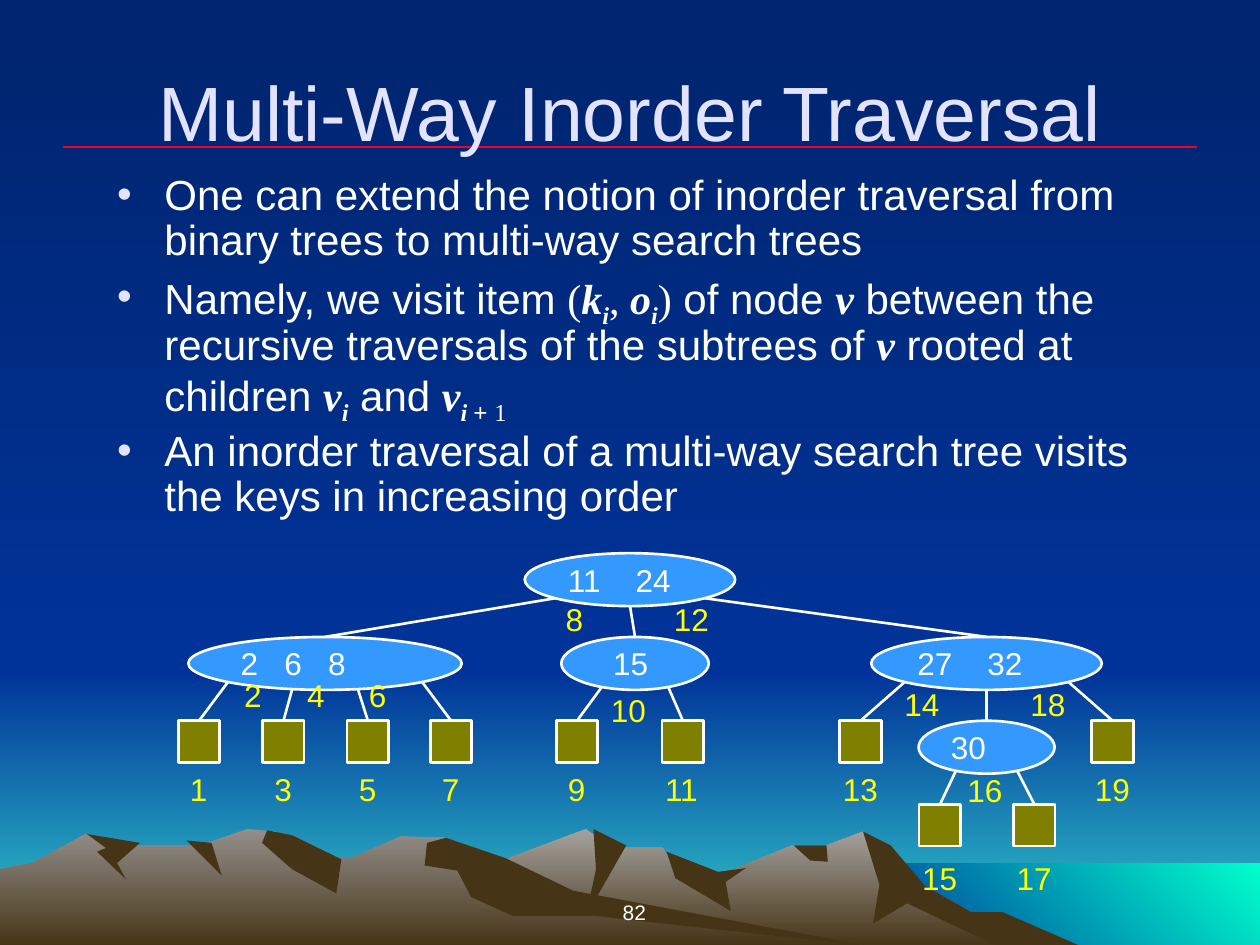
from dataclasses import dataclass
from itertools import count
from math import sqrt

from lxml import etree
from pptx import Presentation
from pptx.dml.color import RGBColor
from pptx.enum.shapes import MSO_CONNECTOR, MSO_SHAPE
from pptx.enum.text import MSO_ANCHOR, MSO_AUTO_SIZE, PP_ALIGN
from pptx.oxml.ns import qn
from pptx.util import Inches, Pt

LINE = MSO_CONNECTOR.STRAIGHT
OVAL, RECT = MSO_SHAPE.OVAL, MSO_SHAPE.RECTANGLE
MIDDLE, BOTTOM = MSO_ANCHOR.MIDDLE, MSO_ANCHOR.BOTTOM
LEFT, CENTER = PP_ALIGN.LEFT, PP_ALIGN.CENTER
NO_FIT = MSO_AUTO_SIZE.NONE


@dataclass(frozen=True)
class Theme:
    sans: str = "Arial"
    serif: str = "Times New Roman"
    white: str = "FFFFFF"
    title: str = "E3E3FF"
    rule: str = "EF0129"
    node: str = "3399FF"
    leaf: str = "808000"
    visit: str = "FFFF00"
    night: str = "00246D"
    blue: str = "003399"
    dusk: str = "33CCCC"
    sea: str = "00FFCC"
    rock: str = "463416"
    far: str = "A5A29F"
    near: str = "938F8B"
    big: int = 44
    text: int = 24
    key: int = 18
    small: int = 12


@dataclass(frozen=True)
class Node:
    keys: tuple       # keys in the oval
    mid: float        # centre of the oval
    width: float
    kids: tuple       # a Node, or the centre of a leaf
    marks: tuple      # centres of the visit numbers, one per key
    hang: float       # from top of oval to visit numbers
    gap: int = 0      # extra points between keys
    pad: float = 0.1  # left margin of the keys


T = Theme()

# Each level of the tree lies one DROP below the last
ROOT_TOP, DROP, TALL, SIDE = 4.39, 0.665, 0.42, 0.33
# Where edges leave an oval, as shares of its half width, by number of children
FANS = {2: (-0.45, 0.45), 3: (-0.71, 0, 0.71), 4: (-0.71, -0.24, 0.24, 0.71)}

LOW = Node(("30",), 7.83, 1.08, (7.46, 8.21), (7.82,), 0.35)
TREE = Node(("11", "24"), 5, 1.67, (
    Node(("2", "6", "8"), 2.58, 2.17, (1.58, 2.25, 2.92, 3.58),
         (2.01, 2.51, 3), 0.26, gap=10),
    Node(("15",), 5.04, 1.17, (4.58, 5.42), (4.99,), 0.38, pad=0.24),
    Node(("27", "32"), 7.83, 1.83, (6.83, LOW, 8.83), (7.32, 8.32), 0.33, gap=15),
), (4.56, 5.49), 0.32, gap=15)

# Mountains: skyline from left to right, then the dark faces
BASE = 7.51
FAR_LINE = [(2.58, BASE), (3.27, 7.09), (3.94, 6.85), (4.65, 6.58), (4.86, 6.73),
            (5.26, 6.73), (5.36, 6.9), (5.66, 6.97), (6.29, 6.71), (6.56, 6.71),
            (6.85, 6.6), (7.23, 6.98), (8.21, BASE)]
FAR_FACES = [
    [(6.85, 6.6), (6.98, 7.02), (6.93, 7.33), (7.2, 7.17), (7.92, BASE), (8.58, BASE),
     (7.96, 7.24), (7.71, 7.24), (7.34, 7.03), (7.07, 6.71)],
    [(4.71, 6.58), (4.73, 6.9), (4.65, 7.27), (4.97, 6.71)],
    [(5.29, 6.76), (5.36, 6.97), (5.8, 7.23), (5.76, 7), (5.92, 6.89), (5.7, 6.92)],
    [(6.3, 6.71), (6.43, 6.83), (6.57, 6.84), (6.56, 6.71)],
]
NEAR_LINE = [(0, BASE), (0, 6.9), (0.26, 6.85), (0.68, 6.62), (0.94, 6.71),
             (1.6, 6.71), (1.96, 6.58), (2.19, 6.6), (2.36, 6.81), (2.79, 6.81),
             (3.18, 6.64), (3.54, 6.65), (4.32, 7.12), (6.9, BASE)]
NEAR_FACES = [
    [(2.12, 6.59), (2.08, 6.69), (2.32, 6.9), (2.67, 7.09), (2.71, 6.82), (2.32, 6.63)],
    [(3.54, 6.65), (3.39, 6.69), (3.37, 6.87), (3.63, 6.91), (3.74, 7.12),
     (4.07, 7.27), (4.72, 7.27), (6.9, BASE), (4.55, 7.07), (4.01, 6.81)],
    [(1.48, 6.67), (1.76, 6.95), (1.68, 6.69)],
    [(0.69, 6.62), (0.84, 6.73), (0.77, 6.76), (1, 6.98), (0.93, 6.85), (1.11, 6.69)],
]

# Run styles: font, bold italic, subscript
STYLES = {"text": (T.sans, False, False), "math": (T.serif, False, False),
          "var": (T.serif, True, False), "sub": (T.serif, True, True),
          "plus": (T.sans, False, True), "one": (T.serif, False, True)}
POINTS = [
    [("One can extend the notion of inorder traversal from binary trees to "
      "multi-way search trees", "text")],
    [("Namely, we visit item ", "text"), ("(", "math"), ("k", "var"), ("i", "sub"),
     (", ", "math"), ("o", "var"), ("i", "sub"), (")", "math"), (" of node ", "text"),
     ("v", "var"), (" between the recursive traversals of the subtrees of ", "text"),
     ("v", "var"), (" rooted at children ", "text"), ("v", "var"), ("i", "sub"),
     (" and ", "text"), ("v", "var"), ("i ", "sub"), ("+ ", "plus"), ("1", "one")],
    [("An inorder traversal of a multi-way search tree visits the keys in "
      "increasing order", "text")],
]


def paint(fill, *colors, angle=270):
    """Fill with one colour, or blend from the first to the second."""
    codes = [RGBColor.from_string(code) for code in colors]
    if len(codes) == 1:
        fill.solid()
        fill.fore_color.rgb = codes[0]
        return
    fill.gradient()
    fill.gradient_angle = angle
    for stop, code in zip(fill.gradient_stops, codes):
        stop.color.rgb = code


def style(para, size, color, align=LEFT):
    font = para.font
    font.name, font.size = T.sans, Pt(size)
    font.color.rgb = RGBColor.from_string(color)
    para.alignment = align


def land(slide, dots, *colors, angle=270):
    dots = [(Inches(x), Inches(y)) for x, y in dots]
    maker = slide.shapes.build_freeform(*dots[0])
    maker.add_line_segments(dots[1:], close=True)
    shape = maker.convert_to_shape()
    shape.shadow.inherit = False
    shape.line.fill.background()
    paint(shape.fill, *colors, angle=angle)


def block(slide, x, y, right, low, *colors, angle=270):
    land(slide, [(x, y), (right, y), (right, low), (x, low)], *colors, angle=angle)


def edge(slide, x, y, end_x, end_y, color=T.white, width=1.5):
    line = slide.shapes.add_connector(LINE, *map(Inches, (x, y, end_x, end_y)))
    line.line.color.rgb = RGBColor.from_string(color)
    line.line.width = Pt(width)
    etree.SubElement(line._element.spPr, qn("a:effectLst"))
    return line


def solid(slide, kind, color, mid, y, width, height):
    box = map(Inches, (mid - width / 2, y, width, height))
    shape = slide.shapes.add_shape(kind, *box)
    shape.shadow.inherit = False
    paint(shape.fill, color)
    shape.line.color.rgb = RGBColor.from_string(T.white)
    shape.line.width = Pt(1.5)
    return shape


def oval(slide, node, y):
    frame = solid(slide, OVAL, T.node, node.mid, y, node.width, TALL).text_frame
    frame.word_wrap, frame.vertical_anchor = False, MIDDLE
    frame.margin_left = Inches(node.pad)
    para = frame.paragraphs[0]
    style(para, T.key, T.white)
    for i, key in enumerate(node.keys):
        if i:  # one widened space between keys
            space = para.add_run()
            space.text = " "
            space._r.get_or_add_rPr().set("spc", str(node.gap * 100))
        para.add_run().text = key


def label(slide, number, mid, y):
    text = str(number)
    width = 0.2 + 0.14 * len(text)
    box = slide.shapes.add_textbox(*map(Inches, (mid - width / 2, y, width, 0.4)))
    box.text_frame.word_wrap = False
    box.text_frame.text = text
    style(box.text_frame.paragraphs[0], T.key, T.visit)


def visit(slide, node, steps, depth=0):
    """Draw a subtree, numbering its leaves and keys inorder."""
    y, below = ROOT_TOP + depth * DROP, ROOT_TOP + (depth + 1) * DROP
    oval(slide, node, y)
    for i, (kid, share) in enumerate(zip(node.kids, FANS[len(node.kids)])):
        inner = isinstance(kid, Node)
        mid = kid.mid if inner else kid
        # The edge starts on the lower rim of the oval
        rim = y + TALL / 2 * (1 + sqrt(1 - share ** 2))
        line = edge(slide, node.mid + share * node.width / 2, rim, mid, below)
        if inner:
            visit(slide, kid, steps, depth + 1)
        else:
            line.end_connect(solid(slide, RECT, T.leaf, mid, below, SIDE, SIDE), 0)
            label(slide, next(steps), mid, below + 0.3 + 0.04 * depth)
        if i < len(node.keys):
            label(slide, next(steps), node.marks[i], y + node.hang)


def bullet(para, parts):
    para.line_spacing = 0.9
    style(para, T.text, T.white)
    mark = etree.Element(qn("a:buClr"))
    etree.SubElement(mark, qn("a:srgbClr"), val=T.title)
    para._p.pPr.find(qn("a:defRPr")).addprevious(mark)
    for text, kind in parts:
        run = para.add_run()
        run.text = text
        run.font.name, strong, low = STYLES[kind]
        if strong:
            run.font.bold = run.font.italic = True
        if low:
            run._r.get_or_add_rPr().set("baseline", "-25000")


def scene(slide):
    paint(slide.background.fill, T.night, T.blue)
    block(slide, 0, 5.33, 10, 7.5, T.blue, T.dusk)
    block(slide, 0, 0, 10, 5.33, T.night, T.blue)
    block(slide, 6.83, 6.85, 10, 7.52, T.blue, T.sea, angle=45)
    for skyline, color, faces in ((FAR_LINE, T.far, FAR_FACES),
                                  (NEAR_LINE, T.near, NEAR_FACES)):
        land(slide, skyline, color, T.rock)
        for face in faces:
            land(slide, face, T.rock)
    edge(slide, 0.5, 7 / 6, 9.5, 7 / 6, T.rule, 0.75)


def place(slide, shape, *box):
    """Set a placeholder's box and bring it in front of the landscape."""
    shape.left, shape.top, shape.width, shape.height = map(Inches, box)
    slide.shapes._spTree.append(shape._element)
    shape.text_frame.auto_size = NO_FIT
    return shape.text_frame


def words(slide):
    title = place(slide, slide.shapes.title, 0.5, 0.25, 9, 1.25)
    title.text = "Multi-Way Inorder Traversal"
    style(title.paragraphs[0], T.big, T.title, CENTER)
    body = place(slide, slide.placeholders[1], 0.83, 1.33, 8.5, 2.08)
    for i, parts in enumerate(POINTS):
        bullet(body.add_paragraph() if i else body.paragraphs[0], parts)
    page = slide.shapes.add_textbox(*map(Inches, (3.45, 6.89, 3.17, 0.5))).text_frame
    page.word_wrap, page.vertical_anchor = True, BOTTOM
    page.text = "82"
    style(page.paragraphs[0], T.small, T.white, CENTER)


def main():
    deck = Presentation()
    deck.slide_width, deck.slide_height = Inches(10), Inches(7.5)
    slide = deck.slides.add_slide(deck.slide_layouts[1])
    scene(slide)
    words(slide)
    visit(slide, TREE, count(1))
    deck.save("out.pptx")


if __name__ == "__main__":
    main()
